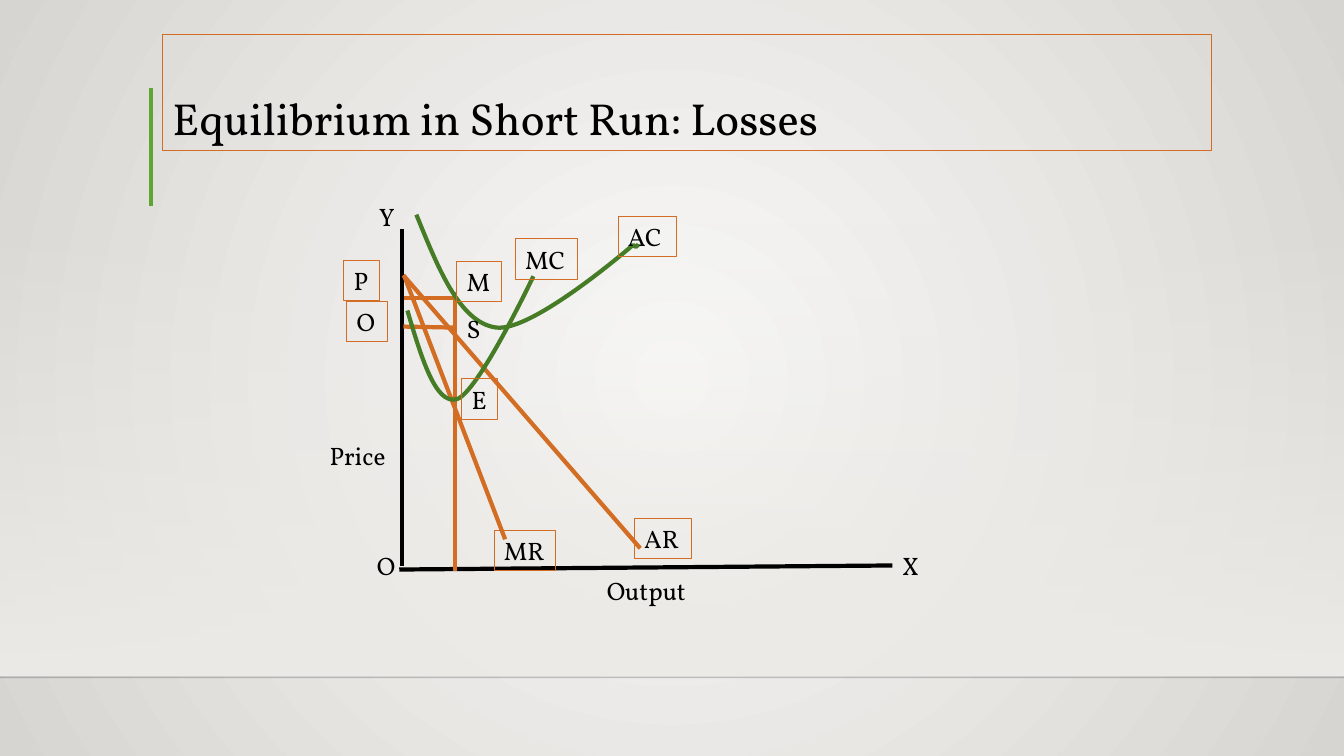
"""Build a slide charting short-run equilibrium with losses."""
import pptx
import pptx.dml.color
import pptx.enum.shapes
import pptx.enum.text
import pptx.oxml
import pptx.oxml.ns
import pptx.util
from pptx.util import Inches

TITLE = "Equilibrium in Short Run: Losses"
FONT = "Vollkorn"
BLACK, ORANGE, GREEN, ACCENT = "000000", "D26D23", "477C27", "5FA534"
SLIDE_WIDTH, SLIDE_HEIGHT = 13.33, 7.5
LABEL_HEIGHT = 0.4

TITLE_BOX = (1.61, 0.34, 10.41, 1.15)
PANEL_BOX = (0, 2.2, SLIDE_WIDTH, 4.5)
FLOOR = (0, 6.72, SLIDE_WIDTH, 6.72)
TITLE_BAR = (1.5, 0.87, 1.5, 2.04)

AXES = [(3.99, 2.27, 3.99, 5.62), (3.96, 5.65, 8.85, 5.61)]
REVENUE_LINES = [(4, 2.73, 6.35, 5.44), (4.01, 2.74, 5.01, 5.35)]
GUIDE_LINES = [
    (4.01, 2.96, 4.51, 2.96),
    (4.51, 3.25, 4.51, 5.66),
    (4.51, 3.25, 4, 3.24),
    (4.51, 3.25, 4.51, 2.9),
]
AVERAGE_COST = [
    (4.13, 2.13), (4.35, 2.67), (4.56, 3.2), (4.92, 3.25),
    (5.28, 3.3), (6.28, 2.43), (6.28, 2.43),
    (6.28, 2.43), (6.3, 2.45), (6.31, 2.45),
    (6.32, 2.45), (6.33, 2.42), (6.33, 2.42),
]
MARGINAL_COST = [
    (4.04, 3.08), (4.18, 3.55), (4.32, 4.02), (4.53, 3.96),
    (4.74, 3.9), (5.29, 2.74), (5.29, 2.74),
]
FRAMED_LABELS = [
    ("AR", 6.29, 5.14, 0.57), ("MR", 4.9, 5.26, 0.61),
    ("AC", 6.13, 2.15, 0.58), ("MC", 5.11, 2.37, 0.62),
    ("E", 4.58, 3.76, 0.36), ("P", 3.41, 2.58, 0.35),
    ("M", 4.53, 2.59, 0.44), ("O", 3.44, 2.99, 0.4),
]
PLAIN_LABELS = [
    ("Output", 5.92, 5.66, 1.02), ("Price", 3.17, 4.32, 0.76),
    ("X", 8.85, 5.41, 0.37), ("O", 3.64, 5.41, 0.4),
    ("Y", 3.66, 1.95, 0.37), ("S", 4.53, 3.06, 0.34),
]


def color(value):
    return pptx.dml.color.RGBColor.from_string(value)


def add_child(parent, tag, **attributes):
    child = pptx.oxml.parse_xml(f"<a:{tag} {pptx.oxml.ns.nsdecls('a')}/>")
    for name, value in attributes.items():
        child.set(name, str(value))
    parent.append(child)
    return child


def set_alpha(element, percent):
    for tint in element.iter(pptx.oxml.ns.qn("a:srgbClr")):
        add_child(tint, "alpha", val=percent * 1000)


def set_line(line, value, width):
    line.color.rgb = color(value)
    line.width = pptx.util.Pt(width)


def set_gradient(fill, values):
    fill.gradient()
    for stop, value, position in zip(fill.gradient_stops, values, (0, 1)):
        stop.color.rgb = color(value)
        stop.position = position


def format_text(frame, size):
    for para in frame.paragraphs:
        for span in para.runs:
            span.font.name = FONT
            span.font.size = pptx.util.Pt(size)
            span.font.color.rgb = color(BLACK)


def add_backdrop(slide):
    fill = slide.background.fill
    set_gradient(fill, ("FAFAF9", "D7D5D2"))
    gradient = next(slide.element.iter(pptx.oxml.ns.qn("a:gradFill")))
    gradient.remove(gradient.find(pptx.oxml.ns.qn("a:lin")))
    circle = add_child(gradient, "path", path="circle")
    add_child(circle, "fillToRect", l=50000, t=50000, r=50000, b=50000)

    panel = slide.shapes.add_shape(
        pptx.enum.shapes.MSO_SHAPE.RECTANGLE, *map(Inches, PANEL_BOX))
    panel.shadow.inherit = False
    panel.line.fill.background()
    set_gradient(panel.fill, ("EDEBE7", "EDEBE7"))
    panel.fill.gradient_angle = 270
    set_alpha(next(panel.element.iter(pptx.oxml.ns.qn("a:gs"))), 0)


def add_title(slide):
    title = slide.shapes.title
    title.left, title.top, title.width, title.height = map(Inches, TITLE_BOX)
    set_line(title.line, ORANGE, 0.75)
    frame = title.text_frame
    frame.text = TITLE
    frame.word_wrap = True
    frame.auto_size = pptx.enum.text.MSO_AUTO_SIZE.NONE
    frame.vertical_anchor = pptx.enum.text.MSO_ANCHOR.BOTTOM
    frame.paragraphs[0].alignment = pptx.enum.text.PP_ALIGN.LEFT
    frame.paragraphs[0].line_spacing = 0.9
    format_text(frame, 32)


def add_line(slide, ends, value, width=3):
    line = slide.shapes.add_connector(
        pptx.enum.shapes.MSO_CONNECTOR.STRAIGHT, *map(Inches, ends))
    set_line(line.line, value, width)
    add_child(line.element.spPr, "effectLst")
    return line


def add_curve(slide, points):
    """Draw a start point followed by triples of Bezier control points."""
    start, *controls = [(Inches(x), Inches(y)) for x, y in points]
    builder = slide.shapes.build_freeform(*start)
    builder.add_line_segments(controls, close=False)
    curve = builder.convert_to_shape()
    curve.shadow.inherit = False
    curve.fill.background()
    set_line(curve.line, GREEN, 3)
    outline = next(curve.element.iter(pptx.oxml.ns.qn("a:path")))
    steps = outline.findall(pptx.oxml.ns.qn("a:lnTo"))
    for first in range(0, len(steps), 3):
        bezier = add_child(outline, "cubicBezTo")
        for step in steps[first:first + 3]:
            bezier.append(step[0])
            outline.remove(step)


def add_label(slide, text, left, top, width, framed):
    box = slide.shapes.add_textbox(
        *map(Inches, (left, top, width, LABEL_HEIGHT)))
    if framed:
        set_line(box.line, ORANGE, 0.75)
    frame = box.text_frame
    frame.text = text
    frame.word_wrap = False
    frame.auto_size = pptx.enum.text.MSO_AUTO_SIZE.SHAPE_TO_FIT_TEXT
    format_text(frame, 18)


def main():
    deck = pptx.Presentation()
    deck.slide_width = Inches(SLIDE_WIDTH)
    deck.slide_height = Inches(SLIDE_HEIGHT)
    page = deck.slides.add_slide(deck.slide_layouts[5])
    add_backdrop(page)
    floor = add_line(page, FLOOR, "000001", 1)
    set_alpha(floor.element.spPr, 20)
    add_line(page, TITLE_BAR, ACCENT)
    add_title(page)
    for ends in AXES:
        add_line(page, ends, BLACK)
    for ends in REVENUE_LINES + GUIDE_LINES:
        add_line(page, ends, ORANGE)
    for points in (AVERAGE_COST, MARGINAL_COST):
        add_curve(page, points)
    for label in FRAMED_LABELS:
        add_label(page, *label, framed=True)
    for label in PLAIN_LABELS:
        add_label(page, *label, framed=False)
    deck.save("out.pptx")


if __name__ == "__main__":
    main()
